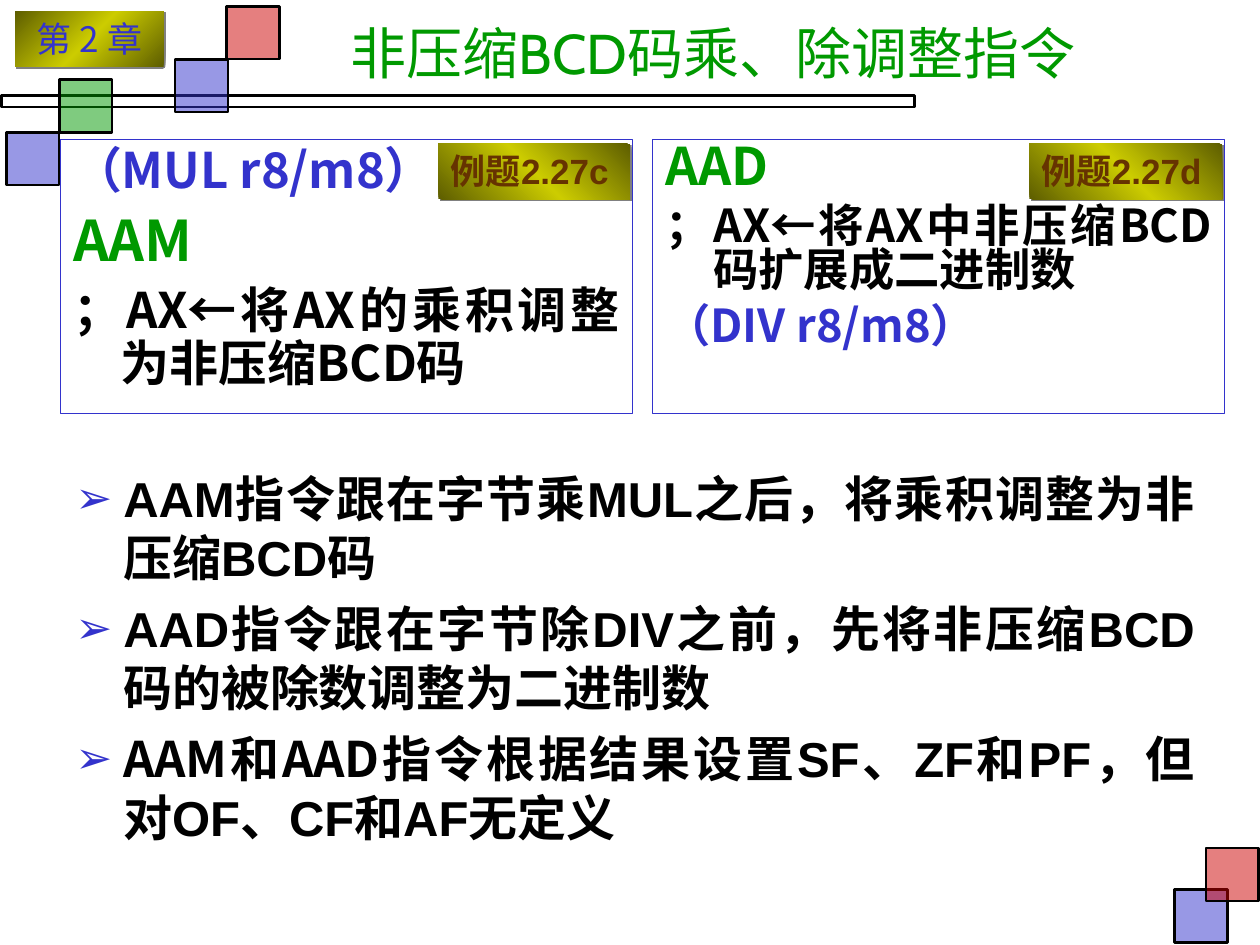
from pptx import Presentation
from pptx.dml.color import RGBColor
from pptx.enum.shapes import MSO_SHAPE
from pptx.enum.text import MSO_ANCHOR, MSO_AUTO_SIZE, PP_ALIGN
from pptx.oxml import parse_xml
from pptx.oxml.ns import nsdecls, qn
from pptx.util import Inches, Pt

BLUE, RED, GREEN, BLACK, BROWN = "3333CC", "CC0000", "009900", "000000", "663300"
SANS = "Noto Sans CJK SC"
NS = nsdecls("a")


def paint(color, value):
    """Set a fill's or font's colour from a hex string."""
    if hasattr(color, "solid"):
        color.solid()
        color = color.fore_color
    color.rgb = RGBColor.from_string(value)


def style(para, size, value, font=None, bold=None, bullet=None):
    """Format a paragraph, adding its bullet if one is given."""
    props = para._p.get_or_add_pPr()
    if bullet:
        for xml in (f'<a:buClr {NS}><a:srgbClr val="{BLUE}"/></a:buClr>',
                    f'<a:buSzPct {NS} val="90000"/>',
                    f'<a:buFont {NS} typeface="Arial"/>',
                    f'<a:buChar {NS} char="{bullet}"/>'):
            props.append(parse_xml(xml))
    else:
        props.append(parse_xml(f"<a:buNone {NS}/>"))
    para.font.size = Pt(size)
    para.font.bold = bold
    if font:
        para.font.name = font
    paint(para.font.color, value)


deck = Presentation()
deck.slide_width, deck.slide_height = Inches(10), Inches(7.5)
slide = deck.slides.add_slide(deck.slide_layouts[3])
shapes = slide.shapes
title, left, right = slide.placeholders

# Corner squares and the rule under the title
rule = shapes.add_shape(MSO_SHAPE.RECTANGLE, Inches(0.01), Inches(0.76),
                        Inches(7.25), Inches(0.09))
rule.shadow.inherit = False
rule.fill.background()
paint(rule.line.fill, BLACK)
rule.line.width = Pt(1.5)

for x, y, value in [(9.32, 7.06, BLUE), (9.57, 6.73, RED), (1.39, 0.47, BLUE),
                    (0.05, 1.05, BLUE), (0.47, 0.63, GREEN), (1.8, 0.05, RED)]:
    square = shapes.add_shape(MSO_SHAPE.RECTANGLE, Inches(x), Inches(y),
                              Inches(0.42), Inches(0.42))
    square.shadow.inherit = False
    paint(square.fill, value)
    tint = square._element.spPr.find(".//" + qn("a:srgbClr"))
    tint.append(parse_xml(f'<a:alpha {NS} val="50000"/>'))
    paint(square.line.fill, BLACK)
    square.line.width = Pt(1.5)

# Title
title.left, title.top = Inches(2.16), Inches(0.08)
title.width, title.height = Inches(7), Inches(0.67)
frame = title.text_frame
frame.text = "非压缩BCD码乘、除调整指令"
frame.vertical_anchor = MSO_ANCHOR.MIDDLE
frame.auto_size = MSO_AUTO_SIZE.NONE
frame.paragraphs[0].alignment = PP_ALIGN.CENTER
style(frame.paragraphs[0], 32, GREEN, "Cabin")

# Instruction boxes and the list of notes
notes = shapes.add_textbox(Inches(0.5), Inches(3.67), Inches(9.08), Inches(3.16))
for box, x, gap, lines in [
    (left, 0.48, 0.9, [("（MUL r8/m8）", 28, BLUE),
                       ("AAM", 32, GREEN),
                       ("；AX←将AX的乘积调整为非压缩BCD码", 28, BLACK)]),
    (right, 5.18, 0.8, [("AAD", 29.6, GREEN),
                        ("；AX←将AX中非压缩BCD码扩展成二进制数", 25.9, BLACK),
                        ("（DIV r8/m8）", 25.9, BLUE)]),
    (notes, 0.5, 1, [("AAM指令跟在字节乘MUL之后，将乘积调整为非压缩BCD码", 28, BLACK),
                     ("AAD指令跟在字节除DIV之前，先将非压缩BCD码的被除数调整为二进制数", 28, BLACK),
                     ("AAM和AAD指令", 28, BLACK)]),
]:
    listed = box is notes
    if not listed:
        box.left, box.top = Inches(x), Inches(1.11)
        box.width, box.height = Inches(4.54), Inches(2.17)
        paint(box.line.fill, BLUE)
        box.line.width = Pt(0.75)
    frame = box.text_frame
    frame.word_wrap = True
    frame.auto_size = MSO_AUTO_SIZE.NONE
    frame.text = "\n".join(line[0] for line in lines)
    for i, (para, (text, size, value)) in enumerate(zip(frame.paragraphs, lines)):
        para.alignment = PP_ALIGN.JUSTIFY
        para.line_spacing = gap
        para.space_before = Pt(0 if i == 0 else 8 if size == 32 else 7)
        props = para._p.get_or_add_pPr()
        props.set("marL", str(Inches(0.38)))
        props.set("indent", str(-Inches(0.38)))
        style(para, size, value, "Arial" if listed else SANS, True,
              "➢" if listed else None)

last = notes.text_frame.paragraphs[-1]
last.runs[0].font.name = SANS
last.add_run().text = "根据结果设置SF、ZF和PF，但对OF、CF和AF无定义"

# Gold labels
for text, x, y, width, angle, value, font, bold, align in [
    ("第 2 章", 0.12, 0.09, 1.18, 45, BLUE, "Noto Sans CJK JP", False, PP_ALIGN.CENTER),
    ("例题2.27c", 3.48, 1.14, 1.52, 315, BROWN, "Arial", True, PP_ALIGN.LEFT),
    ("例题2.27d", 8.17, 1.14, 1.53, 315, BROWN, "Arial", True, PP_ALIGN.LEFT),
]:
    label = shapes.add_shape(MSO_SHAPE.RECTANGLE, Inches(x), Inches(y),
                             Inches(width), Inches(0.44))
    stops = "".join(f'<a:gs pos="{pos}"><a:srgbClr val="{shade}"/></a:gs>'
                    for pos, shade in [(0, "5E5E00"), (50000, "CCCC00"), (100000, "5E5E00")])
    props = label._element.spPr
    props.append(parse_xml(f'<a:gradFill {NS}><a:gsLst>{stops}</a:gsLst>'
                           f'<a:lin ang="{angle * 60000}" scaled="1"/></a:gradFill>'))
    label.line.fill.background()
    label.shadow.inherit = False
    props.find(qn("a:effectLst")).append(parse_xml(
        f'<a:outerShdw {NS} dist="{Pt(1.4)}" dir="2700000" algn="ctr">'
        '<a:srgbClr val="808080"/></a:outerShdw>'))
    frame = label.text_frame
    frame.text = text
    frame.word_wrap = True
    if align == PP_ALIGN.LEFT:
        frame.margin_right = Inches(0)
    frame.vertical_anchor = MSO_ANCHOR.TOP
    frame.auto_size = MSO_AUTO_SIZE.NONE
    frame.paragraphs[0].alignment = align
    style(frame.paragraphs[0], 20, value, font, bold)

deck.save("out.pptx")
